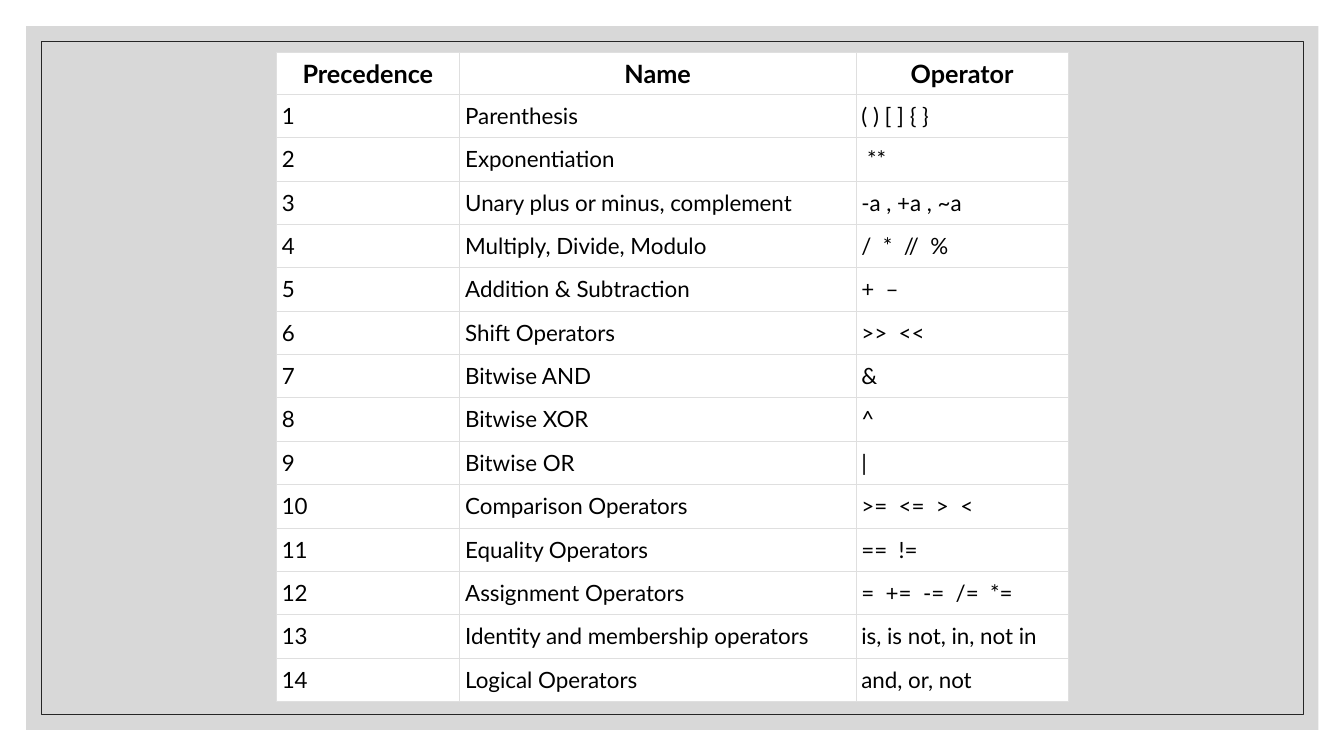
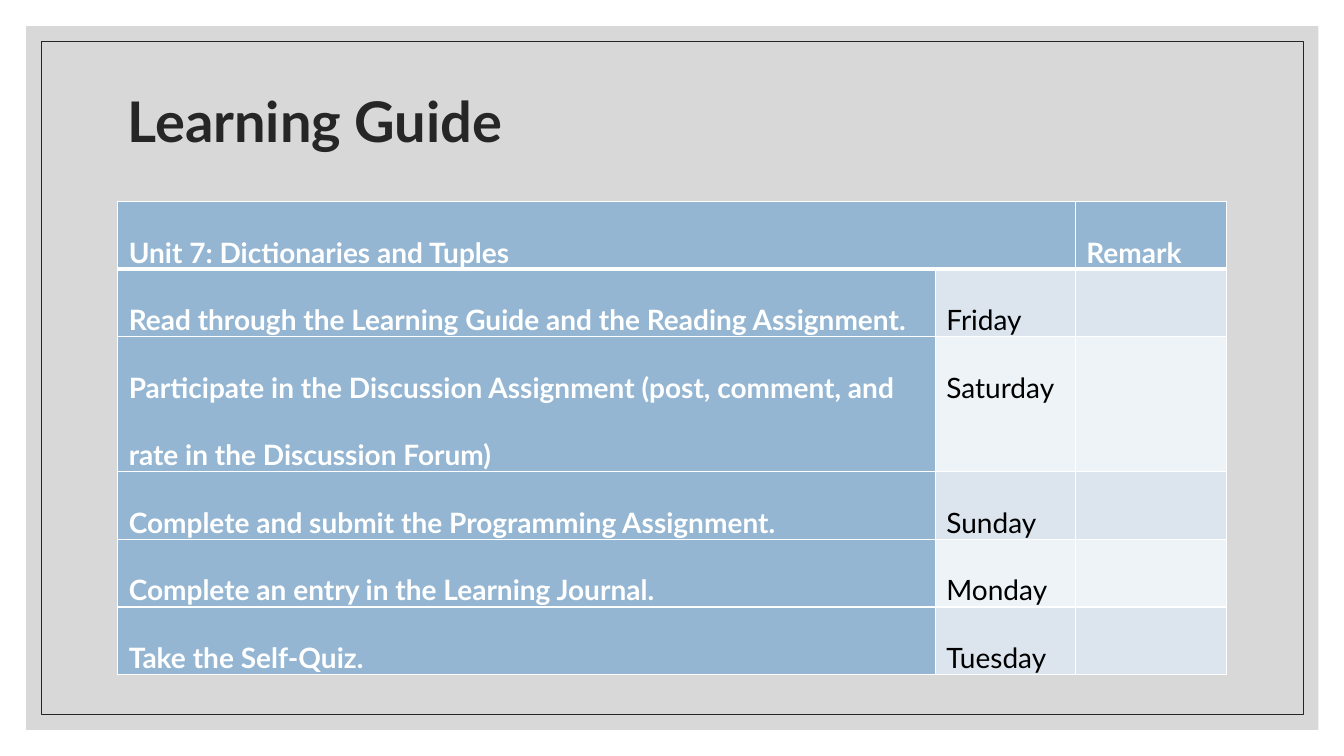
from lxml import etree
from pptx import Presentation
from pptx.dml.color import RGBColor
from pptx.enum.shapes import MSO_SHAPE as SHAPE
from pptx.enum.text import MSO_ANCHOR as ANCHOR, MSO_AUTO_SIZE as AUTO, PP_ALIGN as ALIGN
from pptx.oxml import parse_xml
from pptx.oxml.ns import nsdecls, qn
from pptx.util import Pt

FONT = "Lato"
WHITE = RGBColor(0xFF, 0xFF, 0xFF)
BLACK = RGBColor(0x00, 0x00, 0x00)
INK = RGBColor(0x26, 0x26, 0x26)
PANEL = RGBColor(0xBF, 0xBF, 0xBF)
GRID = RGBColor(0xDF, 0xDF, 0xDF)
BLUE = RGBColor(0x94, 0xB6, 0xD2)
BANDS = [RGBColor(0xDC, 0xE5, 0xEE), RGBColor(0xEE, 0xF3, 0xF7)]


def write(tf, text, size=20, color=BLACK, bold=False, align=ALIGN.LEFT, spacing=None, after=None):
    p = tf.paragraphs[0]
    p.alignment = align
    p.line_spacing = spacing
    if after is not None:
        p.space_after = Pt(after)
    r = p.add_run()
    r.text = text
    r.font.name = FONT
    r.font.size = Pt(size)
    r.font.bold = bold
    r.font.color.rgb = color


def format_cell(cell, fill, line, margins, width=1, top=None, bottom=None):
    tcPr = cell._tc.get_or_add_tcPr()
    for side, w in zip("LRTB", (width, width, top or width, bottom or width)):
        tcPr.append(parse_xml(
            f'<a:ln{side} {nsdecls("a")} w="{Pt(w)}"><a:solidFill>'
            f'<a:srgbClr val="{line}"/></a:solidFill></a:ln{side}>'))
    cell.fill.solid()
    cell.fill.fore_color.rgb = fill
    cell.margin_left = cell.margin_right = Pt(margins[0])
    cell.margin_top = cell.margin_bottom = Pt(margins[1])


prs = Presentation()
prs.slide_width, prs.slide_height = Pt(960), Pt(540)

s = prs.slides.add_slide(prs.slide_layouts[6])
panel = s.shapes.add_shape(SHAPE.RECTANGLE, Pt(18.7), Pt(18.7), Pt(923), Pt(502.6))
panel.fill.solid()
panel.fill.fore_color.rgb = PANEL
panel.line.fill.background()
color = panel.element.find(".//" + qn("a:srgbClr"))
etree.SubElement(color, qn("a:alpha"), val="60000")
frame = s.shapes.add_shape(SHAPE.RECTANGLE, Pt(29.5), Pt(29.5), Pt(901.4), Pt(481))
frame.fill.background()
frame.line.color.rgb = INK
frame.line.width = Pt(0.5)
master_tree = prs.slide_master.element.find(".//" + qn("p:spTree"))
for i, sp in enumerate((panel, frame)):
    sp.shadow.inherit = False
    sp.element.find(".//" + qn("p:cNvPr")).set("id", str(101 + i))
    master_tree.insert(2 + i, sp.element)

operators = [
    ("Precedence", "Name", "Operator"),
    ("1", "Parenthesis", "( ) [ ] { }"),
    ("2", "Exponentiation", " **"),
    ("3", "Unary plus or minus, complement", "-a , +a , ~a"),
    ("4", "Multiply, Divide, Modulo", "/  *  //  %"),
    ("5", "Addition & Subtraction", "+  –"),
    ("6", "Shift Operators", ">>  <<"),
    ("7", "Bitwise AND", "&"),
    ("8", "Bitwise XOR", "^"),
    ("9", "Bitwise OR", "|"),
    ("10", "Comparison Operators", ">=  <=  >  <"),
    ("11", "Equality Operators", "==  !="),
    ("12", "Assignment Operators", "=  +=  -=  /=  *="),
    ("13", "Identity and membership operators", "is, is not, in, not in"),
    ("14", "Logical Operators", "and, or, not"),
]
tbl = s.shapes.add_table(len(operators), 3, Pt(197.3), Pt(37.5), Pt(566), Pt(463.6)).table
tbl.first_row = tbl.horz_banding = False
for col, w in zip(tbl.columns, (131, 283, 152)):
    col.width = Pt(w)
for i, texts in enumerate(operators):
    head = i == 0
    tbl.rows[i].height = Pt(29.6 if head else 31)
    for j, text in enumerate(texts):
        cell = tbl.cell(i, j)
        format_cell(cell, WHITE, GRID, (4, 4 if head else 5.7), width=0.25)
        cell.vertical_anchor = ANCHOR.MIDDLE
        write(cell.text_frame, text, size=18 if head else 16, bold=head,
              align=ALIGN.CENTER if head else ALIGN.LEFT)

s = prs.slides.add_slide(prs.slide_layouts[5])
title = s.shapes.title
title.left, title.top, title.width, title.height = Pt(84), Pt(50.4), Pt(792), Pt(77)
tf = title.text_frame
tf.auto_size = AUTO.NONE
tf.vertical_anchor = ANCHOR.MIDDLE
write(tf, "Learning Guide", size=40, color=INK, bold=True, spacing=0.9)

tasks = [
    ("Unit 7: Dictionaries and Tuples", "", "Remark"),
    ("Read through the Learning Guide and the Reading Assignment.", "Friday", ""),
    ("Participate in the Discussion Assignment (post, comment, and rate in the Discussion Forum)",
     "Saturday", ""),
    ("Complete and submit the Programming Assignment.", "Sunday", ""),
    ("Complete an entry in the Learning Journal.", "Monday", ""),
    ("Take the Self-Quiz.", "Tuesday", ""),
]
tbl = s.shapes.add_table(len(tasks), 3, Pt(84), Pt(144), Pt(792), Pt(336)).table
tbl.first_row = tbl.horz_banding = False
for col, w in zip(tbl.columns, (584, 100, 108)):
    col.width = Pt(w)
tbl.cell(0, 0).merge(tbl.cell(0, 1))
for i, texts in enumerate(tasks):
    tbl.rows[i].height = Pt(96 if i == 2 else 48)
    for j, text in enumerate(texts):
        cell = tbl.cell(i, j)
        strong = i == 0 or j == 0
        format_cell(cell, BLUE if strong else BANDS[(i - 1) % 2], WHITE, (8, 0),
                    top=3 if i == 1 else None, bottom=3 if i == 0 else None)
        if text:
            write(cell.text_frame, text, color=WHITE if strong else BLACK, bold=strong,
                  spacing=2.0, after=12)

prs.save("out.pptx")
